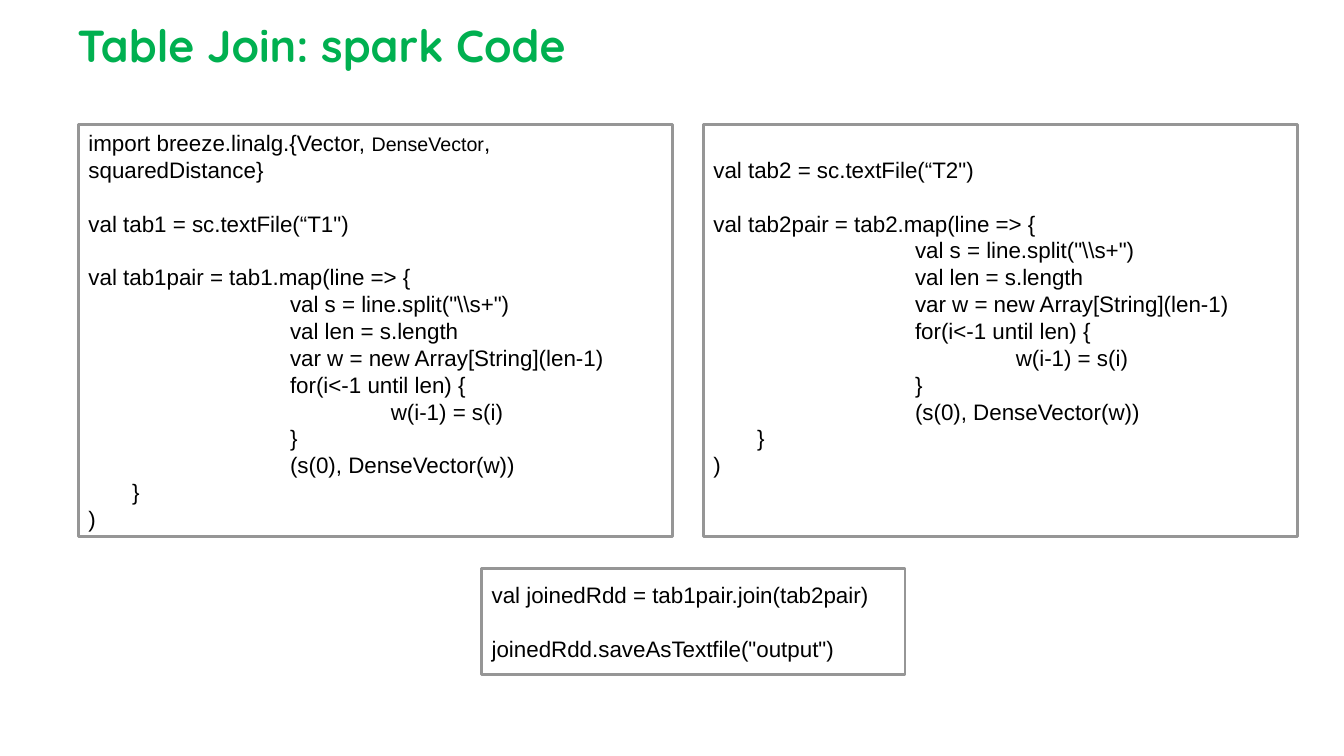
import pptx
import pptx.util
import pptx.dml.color
import pptx.enum.shapes
import pptx.enum.text

Cm = pptx.util.Cm
Pt = pptx.util.Pt
RGBColor = pptx.dml.color.RGBColor
Anchor = pptx.enum.text.MSO_ANCHOR
Align = pptx.enum.text.PP_ALIGN

GREEN = RGBColor(0x00, 0xB0, 0x50)
GREY = RGBColor(0x96, 0x96, 0x96)
BLACK = RGBColor(0x00, 0x00, 0x00)
WHITE = RGBColor(0xFF, 0xFF, 0xFF)

LINE = Pt(19.2)
TAB = 2.54
HEAD = {"name": "Quicksand", "size": Pt(32), "bold": True}
CODE = {"name": "Arial", "size": Pt(16)}
SMALL = {"name": "Arial", "size": Pt(14)}
PARA = {"alignment": Align.LEFT, "line_spacing": LINE}
FRAME = {"word_wrap": True, "vertical_anchor": Anchor.MIDDLE,
         "margin_top": 0, "margin_bottom": 0}

IMPORT = [("import breeze.linalg.{Vector, ", CODE), ("DenseVector", SMALL),
          (", squaredDistance}", CODE)]


def apply(item, look):
    for key, value in look.items():
        setattr(item, key, value)


def add_run(para, text, look, color):
    run = para.add_run()
    run.text = text
    apply(run.font, look)
    run.font.color.rgb = color


def add_title(slide, text):
    box = slide.shapes.add_textbox(Cm(1.7), Cm(0.36), Cm(29.21), Cm(1.7))
    frame = box.text_frame
    apply(frame, {"word_wrap": True, "vertical_anchor": Anchor.BOTTOM,
                  "margin_left": Cm(0.25), "margin_right": Cm(0.25),
                  "margin_top": Cm(0.25), "margin_bottom": Cm(0.25)})
    add_run(frame.paragraphs[0], text, HEAD, GREEN)


def add_code(slide, place, lines, foot=0):
    box = slide.shapes.add_shape(
        pptx.enum.shapes.MSO_SHAPE.RECTANGLE, *map(Cm, place))
    box.shadow.inherit = False
    box.fill.solid()
    box.fill.fore_color.rgb = WHITE
    box.line.color.rgb = GREY
    box.line.width = Pt(2)
    frame = box.text_frame
    apply(frame, {**FRAME, "margin_bottom": foot})
    for row, (runs, indent, gap) in enumerate(lines):
        para = frame.add_paragraph() if row else frame.paragraphs[0]
        apply(para, {**PARA, "space_before": LINE if gap else Pt(0)})
        props = para._p.get_or_add_pPr()
        props.set("marL", str(Cm(indent)))
        props.set("indent", "0")
        for text, look in runs:
            add_run(para, text, look, BLACK)


def line(text, indent=0, gap=False):
    return [(text, CODE)], indent, gap


def load(num, gap):
    return [
        line(f'val tab{num} = sc.textFile(“T{num}")', gap=gap),
        line(f"val tab{num}pair = tab{num}.map(line => {{", gap=True),
        line('val s = line.split("\\\\s+")', 2 * TAB),
        line("val len = s.length", 2 * TAB),
        line("var w = new Array[String](len-1)", 2 * TAB),
        line("for(i<-1 until len) {", 2 * TAB),
        line("w(i-1) = s(i)", 3 * TAB),
        line("}", 2 * TAB),
        line("(s(0), DenseVector(w))", 2 * TAB),
        line("}", 1.1),
        line(")"),
    ]


def main():
    deck = pptx.Presentation()
    deck.slide_width = Cm(33.87)
    deck.slide_height = Cm(19.05)
    slide = deck.slides.add_slide(deck.slide_layouts[6])
    add_title(slide, "Table Join: spark Code")
    add_code(slide, (1.98, 3.13, 14.97, 10.4),
             [(IMPORT, 0, False)] + load(1, True))
    add_code(slide, (17.73, 3.13, 14.97, 10.4), load(2, False), LINE)
    add_code(slide, (12.14, 14.33, 10.67, 2.67), [
        line("val joinedRdd = tab1pair.join(tab2pair)"),
        line('joinedRdd.saveAsTextfile("output")', gap=True),
    ])
    deck.save("out.pptx")


if __name__ == "__main__":
    main()
